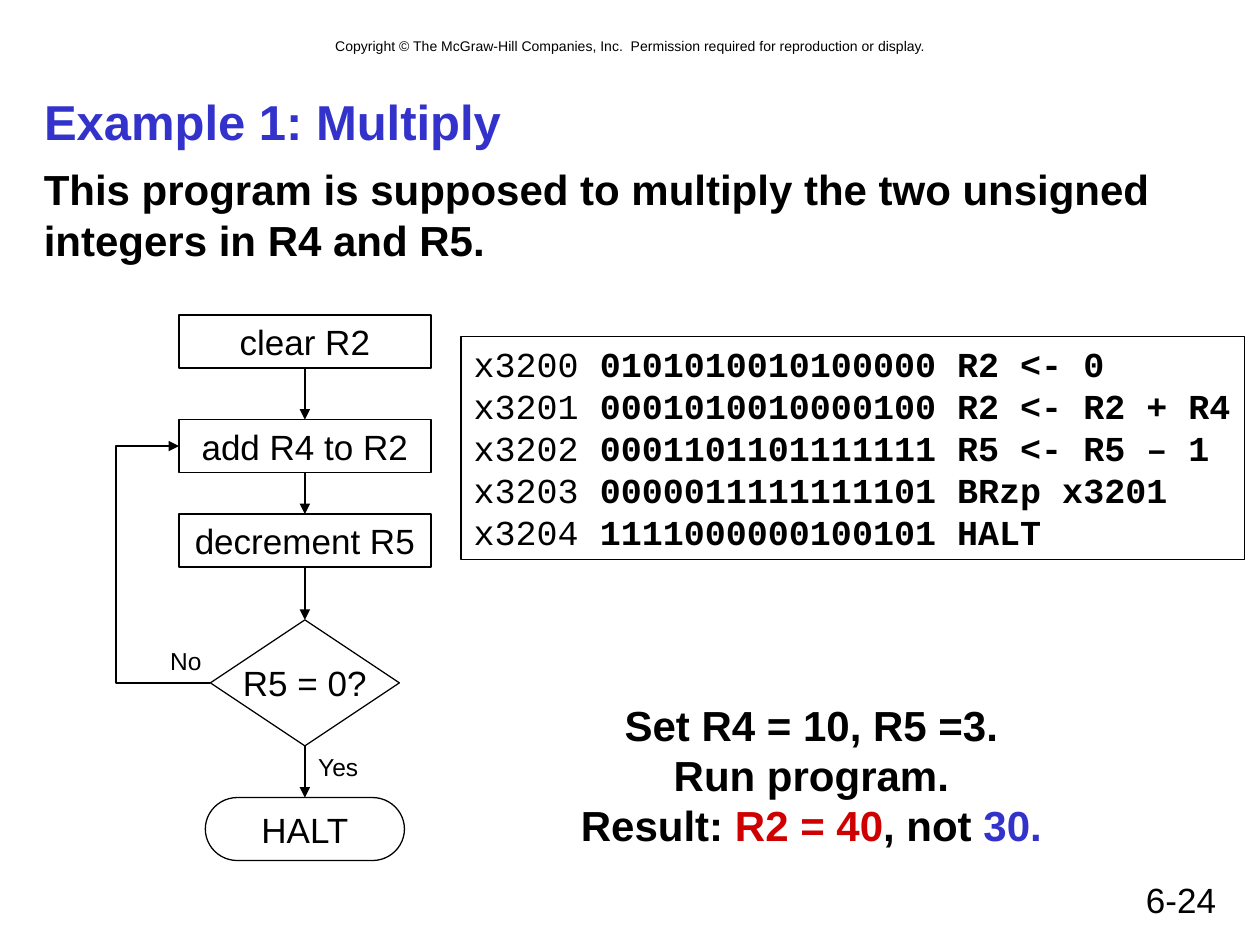
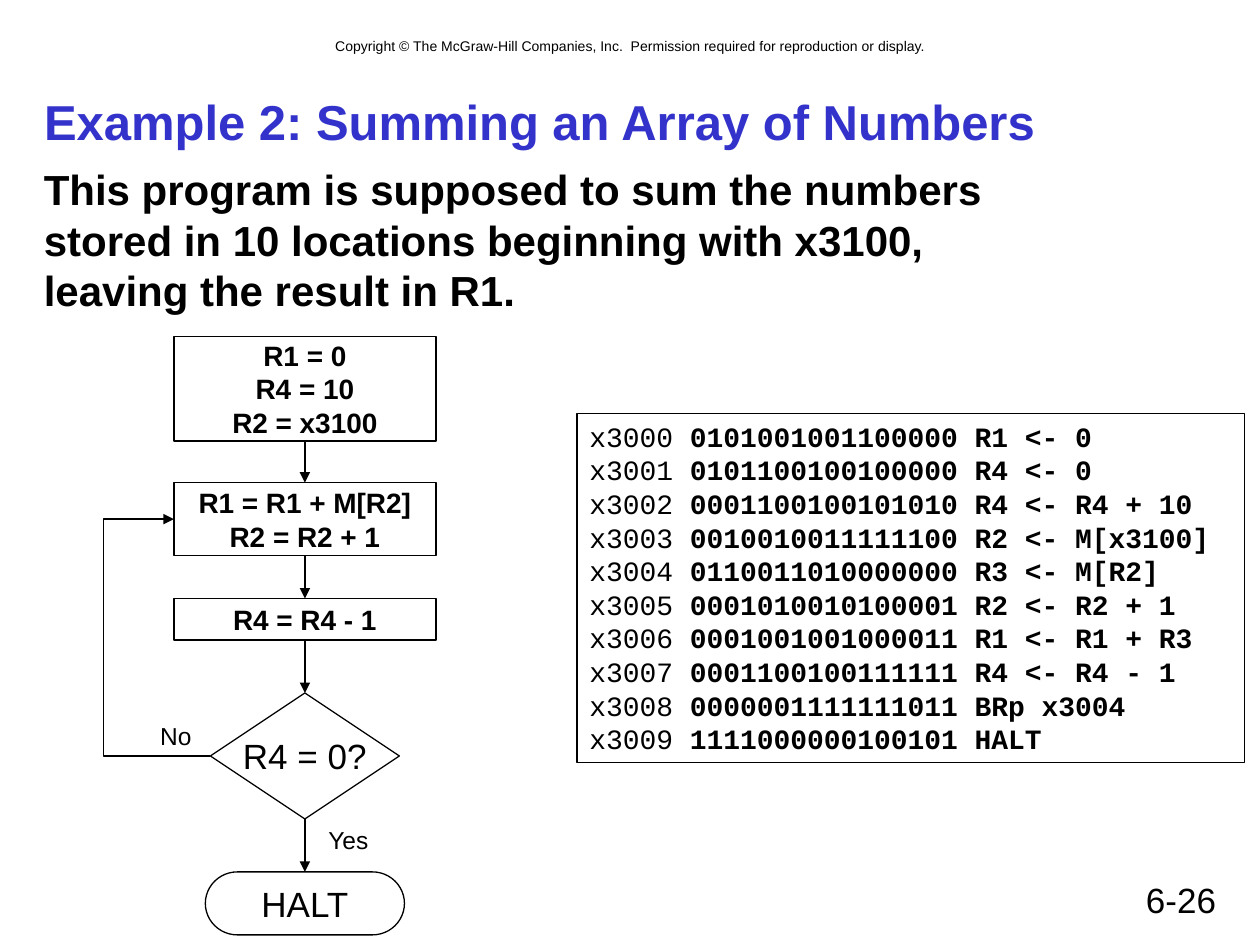
from dataclasses import dataclass
from itertools import pairwise
from typing import NamedTuple

from lxml import etree
from pptx import Presentation
from pptx.dml.color import RGBColor
from pptx.enum.shapes import MSO_CONNECTOR, MSO_SHAPE
from pptx.enum.text import MSO_ANCHOR, PP_ALIGN
from pptx.oxml.ns import qn
from pptx.util import Inches, Pt

STEP = MSO_SHAPE.FLOWCHART_PROCESS
TEST = MSO_SHAPE.FLOWCHART_DECISION
STOP = MSO_SHAPE.FLOWCHART_TERMINATOR
RECT = MSO_SHAPE.RECTANGLE
LINE = MSO_CONNECTOR.STRAIGHT
BENT = MSO_CONNECTOR.ELBOW
LEFT, MID, RIGHT = PP_ALIGN.LEFT, PP_ALIGN.CENTER, PP_ALIGN.RIGHT
TOP, CENTER = MSO_ANCHOR.TOP, MSO_ANCHOR.MIDDLE


@dataclass(frozen=True)
class Theme:
    ink: RGBColor = RGBColor(0x00, 0x00, 0x00)
    blue: RGBColor = RGBColor(0x33, 0x33, 0xCC)
    red: RGBColor = RGBColor(0xCE, 0x00, 0x00)
    sans: str = "Arial"
    mono: str = "Courier New"
    head: int = 28
    body: int = 24
    flow: int = 20
    dense: int = 16
    label: int = 14
    note: int = 8
    rule: float = 0.75
    lead: float = 1.2


THEME = Theme()
AXIS = 2.42


class Look(NamedTuple):
    size: int
    bold: bool = False
    color: RGBColor = THEME.ink
    font: str = THEME.sans
    align: PP_ALIGN = LEFT


class Box(NamedTuple):
    left: float
    top: float
    width: float
    height: float


class Span(NamedTuple):
    text: str
    look: Look


class Node(NamedTuple):
    text: str
    top: float
    width: float
    height: float
    kind: MSO_SHAPE = STEP
    look: Look = Look(THEME.flow, align=MID)


class Label(NamedTuple):
    text: str
    box: Box


class Code(NamedTuple):
    box: Box
    size: int
    rows: list[str]


class Page(NamedTuple):
    title: str
    body: str
    number: str
    nodes: list[Node]
    labels: list[Label]
    turn: float
    code: Code


HEAD = Look(THEME.head, True, THEME.blue)
BODY = Look(THEME.body, True)
NOTE = Look(THEME.note, align=MID)
FOOT = Look(THEME.flow, align=RIGHT)
LABEL = Look(THEME.label, align=MID)
DENSE = Look(THEME.dense, True, align=MID)
RESULT = Look(THEME.body, True, align=MID)


def place(box: Box) -> list[int]:
    return [Inches(side) for side in box]


def style(run, look: Look) -> None:
    run.font.name = look.font
    run.font.size = Pt(look.size)
    run.font.bold = look.bold
    run.font.color.rgb = look.color


def space(par, look: Look) -> None:
    par.alignment = look.align
    par.line_spacing = Pt(look.size * THEME.lead)


def write(frame, text: str, look: Look, wrap: bool = True, anchor: MSO_ANCHOR = TOP) -> None:
    frame.text = text
    frame.word_wrap = wrap
    frame.vertical_anchor = anchor
    for par in frame.paragraphs:
        space(par, look)
        for run in par.runs:
            style(run, look)


def mix(frame, rows: list[list[Span]]) -> None:
    frame.vertical_anchor = TOP
    for index, row in enumerate(rows):
        par = frame.add_paragraph() if index else frame.paragraphs[0]
        space(par, row[0].look)
        for span in row:
            run = par.add_run()
            run.text = span.text
            style(run, span.look)


def add_text(slide, box: Box, text: str, look: Look, wrap: bool = True) -> None:
    write(slide.shapes.add_textbox(*place(box)).text_frame, text, look, wrap)


def add_frame(slide, kind: MSO_SHAPE, box: Box):
    shape = slide.shapes.add_shape(kind, *place(box))
    shape.shadow.inherit = False
    shape.fill.background()
    shape.line.color.rgb = THEME.ink
    shape.line.width = Pt(THEME.rule)
    return shape


def add_node(slide, node: Node):
    box = Box(AXIS - node.width / 2, node.top, node.width, node.height)
    shape = add_frame(slide, node.kind, box)
    write(shape.text_frame, node.text, node.look, False, CENTER)
    return shape


def ink_arrow(wire) -> None:
    wire.line.color.rgb = THEME.ink
    wire.line.width = Pt(THEME.rule)
    etree.SubElement(wire.line._get_or_add_ln(), qn("a:tailEnd"), type="triangle")
    etree.SubElement(wire._element.spPr, qn("a:effectLst"))


def join(slide, start, end) -> None:
    wire = slide.shapes.add_connector(LINE, 0, 0, 0, 0)
    wire.begin_connect(start, 2)
    wire.end_connect(end, 0)
    ink_arrow(wire)


def loop(slide, start, end, turn: float) -> None:
    low = start.top + start.height // 2
    high = end.top + end.height // 2
    wire = slide.shapes.add_connector(BENT, end.left, high, start.left, low)
    wire._element.spPr.xfrm.rot = 180
    bend = round((start.left - Inches(turn)) / (start.left - end.left) * 100000)
    guides = wire._element.spPr.find(qn("a:prstGeom")).get_or_add_avLst()
    etree.SubElement(guides, qn("a:gd"), name="adj1", fmla=f"val {bend}")
    ink_arrow(wire)


def add_code(slide, code: Code) -> None:
    plain = Look(code.size, font=THEME.mono)
    strong = plain._replace(bold=True)
    frame = add_frame(slide, RECT, code.box).text_frame
    frame.word_wrap = True
    mix(frame, [[Span(row[:5], plain), Span(row[5:], strong)] for row in code.rows])


def add_result(slide) -> None:
    frame = slide.shapes.add_textbox(*place(Box(4.51, 5.5, 3.86, 1.3))).text_frame
    frame.word_wrap = False
    mix(frame, [
        [Span("Set R4 = 10, R5 =3.", RESULT)],
        [Span("Run program.", RESULT)],
        [
            Span("Result: ", RESULT),
            Span("R2 = 40", RESULT._replace(color=THEME.red)),
            Span(", not", RESULT),
            Span(" 30.", RESULT._replace(color=THEME.blue)),
        ],
    ])


def add_page(deck, page: Page):
    slide = deck.slides.add_slide(deck.slide_layouts[5])
    title = slide.shapes.title
    title.left, title.top, title.width, title.height = place(Box(0.25, 0.67, 9.5, 0.58))
    write(title.text_frame, page.title, HEAD, anchor=CENTER)
    add_text(
        slide, Box(0.67, 0.25, 8.67, 0.24),
        "Copyright © The McGraw-Hill Companies, Inc.  Permission required for reproduction or display.",
        NOTE,
    )
    add_text(slide, Box(7.17, 6.92, 2.58, 0.42), page.number, FOOT)
    add_text(slide, Box(0.25, 1.25, 9.5, 1.3), page.body, BODY)
    shapes = [add_node(slide, node) for node in page.nodes]
    for start, end in pairwise(shapes):
        join(slide, start, end)
    loop(slide, shapes[3], shapes[1], page.turn)
    for label in page.labels:
        add_text(slide, label.box, label.text, LABEL, False)
    add_code(slide, page.code)
    return slide


MULTIPLY = Page(
    "Example 1: Multiply",
    "This program is supposed to multiply the two unsigned\vintegers in R4 and R5.",
    "6-24",
    [
        Node("clear R2", 2.5, 2, 0.42),
        Node("add R4 to R2", 3.33, 2, 0.42),
        Node("decrement R5", 4.08, 2, 0.42),
        Node("R5 = 0?", 4.92, 1.5, 1, TEST),
        Node("HALT", 6.33, 1.58, 0.5, STOP),
    ],
    [Label("No", Box(1.25, 5.08, 0.45, 0.34)), Label("Yes", Box(2.42, 5.92, 0.53, 0.34))],
    0.92,
    Code(Box(3.66, 2.67, 6.22, 1.77), THEME.flow, [
        "x3200 0101010010100000 R2 <- 0",
        "x3201 0001010010000100 R2 <- R2 + R4",
        "x3202 0001101101111111 R5 <- R5 – 1",
        "x3203 0000011111111101 BRzp x3201",
        "x3204 1111000000100101 HALT",
    ]),
)

SUM = Page(
    "Example 2: Summing an Array of Numbers",
    "This program is supposed to sum the numbers\vstored in 10 locations beginning with x3100,"
    "\vleaving the result in R1.",
    "6-26",
    [
        Node("R1 = 0\nR4 = 10\nR2 = x3100", 2.67, 2.08, 0.83, look=DENSE),
        Node("R1 = R1 + M[R2]\nR2 = R2 + 1", 3.83, 2.08, 0.58, look=DENSE),
        Node("R4 = R4 - 1", 4.75, 2.08, 0.33, look=DENSE),
        Node("R4 = 0?", 5.5, 1.5, 1, TEST),
        Node("HALT", 6.92, 1.58, 0.5, STOP),
    ],
    [Label("No", Box(1.17, 5.67, 0.45, 0.34)), Label("Yes", Box(2.5, 6.5, 0.53, 0.34))],
    0.82,
    Code(Box(4.58, 3.28, 5.3, 2.77), THEME.dense, [
        "x3000 0101001001100000 R1 <- 0",
        "x3001 0101100100100000 R4 <- 0",
        "x3002 0001100100101010 R4 <- R4 + 10",
        "x3003 0010010011111100 R2 <- M[x3100]",
        "x3004 0110011010000000 R3 <- M[R2]",
        "x3005 0001010010100001 R2 <- R2 + 1",
        "x3006 0001001001000011 R1 <- R1 + R3",
        "x3007 0001100100111111 R4 <- R4 - 1",
        "x3008 0000001111111011 BRp x3004",
        "x3009 1111000000100101 HALT",
    ]),
)


def main() -> None:
    deck = Presentation()
    deck.slide_width, deck.slide_height = Inches(10), Inches(7.5)
    add_result(add_page(deck, MULTIPLY))
    add_page(deck, SUM)
    deck.save("out.pptx")


if __name__ == "__main__":
    main()
